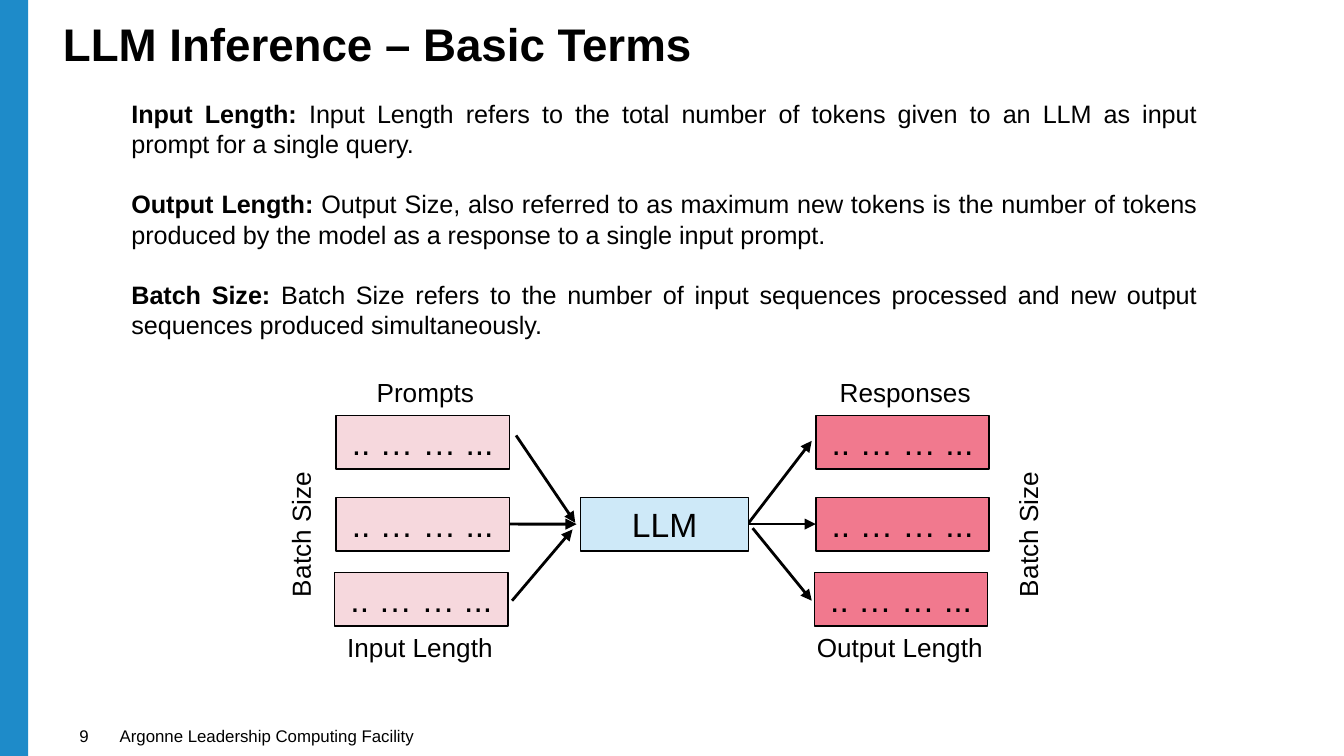
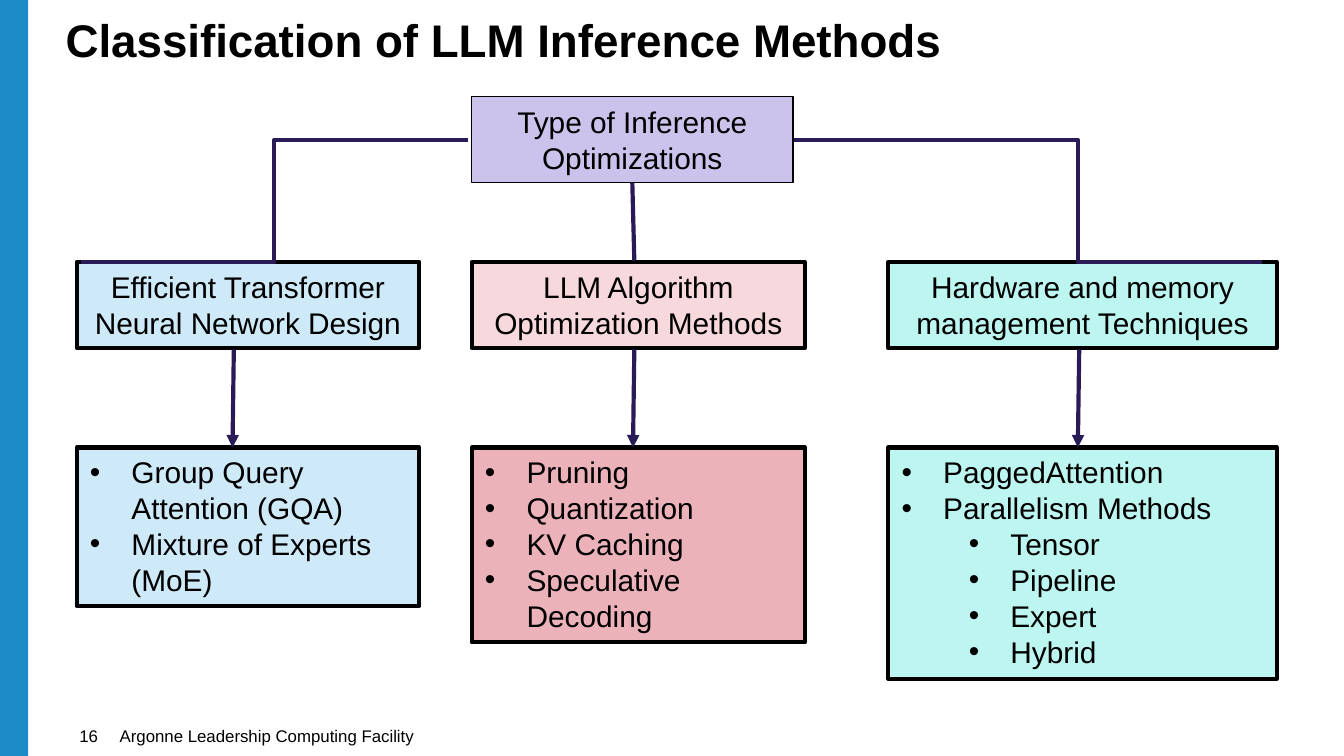
from dataclasses import dataclass

from lxml.etree import SubElement as Sub
from pptx import Presentation
from pptx.dml.color import RGBColor as Rgb
from pptx.enum.shapes import MSO_CONNECTOR as Conn, MSO_SHAPE as Shp
from pptx.enum.text import MSO_ANCHOR as Anchor, PP_ALIGN as Align
from pptx.oxml.ns import qn
from pptx.util import Inches, Pt


@dataclass(frozen=True)
class Theme:
    font: str = "Arial"
    ink: str = "000000"
    band: str = "1E8BC9"
    wire: str = "281B57"
    blue: str = "CEE9F8"
    pink: str = "F6D8DD"
    rose: str = "F1798E"
    blush: str = "ECB2BA"
    mint: str = "BDF6F1"
    lilac: str = "CCC3EC"
    title: float = 24.5
    body: float = 13.5
    label: float = 14
    node: float = 16
    token: float = 18
    foot: float = 9
    thin: float = 0.75
    arrow: float = 1.5
    thick: float = 2.25


T = Theme()
WIDE = 10
TALL = WIDE * 9 / 16
TOP, LEFT, BOTTOM, RIGHT = range(4)
FOOTER = "Argonne Leadership Computing Facility"
TERMS = [
    ("Input Length: ", "Input Length refers to the total number of tokens given "
     "to an LLM as input prompt for a single query."),
    ("Output Length: ", "Output Size, also referred to as maximum new tokens is "
     "the number of tokens produced by the model as a response to a single "
     "input prompt."),
    ("Batch Size: ", "Batch Size refers to the number of input sequences "
     "processed and new output sequences produced simultaneously."),
]


# Basic parts
def style(para, size, bold=False, align=None):
    para.alignment = align
    for run in para.runs:
        font = run.font
        font.name, font.size, font.bold = T.font, Pt(size), bold
        font.color.rgb = Rgb.from_string(T.ink)


def label(slide, box, text, size, bold=False, align=Align.LEFT,
          anchor=Anchor.TOP, pad=True):
    shape = slide.shapes.add_textbox(*map(Inches, box))
    frame = shape.text_frame
    frame.word_wrap = True
    frame.vertical_anchor = anchor
    if not pad:
        frame.margin_left = frame.margin_right = 0
        frame.margin_top = frame.margin_bottom = 0
    frame.text = text
    style(frame.paragraphs[0], size, bold, align)
    return shape


def block(slide, box, fill, width=None, text="", size=T.node,
          align=Align.CENTER):
    shape = slide.shapes.add_shape(Shp.RECTANGLE, *map(Inches, box))
    shape.shadow.inherit = False
    shape.fill.solid()
    shape.fill.fore_color.rgb = Rgb.from_string(fill)
    if width:
        shape.line.color.rgb = Rgb.from_string(T.ink)
        shape.line.width = Pt(width)
    else:
        shape.line.fill.background()
    frame = shape.text_frame
    frame.word_wrap = True
    frame.vertical_anchor = Anchor.TOP
    frame.text = text
    for para in frame.paragraphs:
        style(para, size, align=align)
    return shape


def link(slide, start, end, color, width, head=True, kind=Conn.STRAIGHT,
         bend=None):
    """Each end is a point (x, y) or a joint (shape, side)."""
    def spot(mark):
        return (0, 0) if hasattr(mark[0], "fill") else map(Inches, mark)

    line = slide.shapes.add_connector(kind, *spot(start), *spot(end))
    if hasattr(start[0], "fill"):
        line.begin_connect(*start)
    if hasattr(end[0], "fill"):
        line.end_connect(*end)
    line.line.color.rgb = Rgb.from_string(color)
    line.line.width = Pt(width)
    props = line._element.spPr
    if head:
        Sub(props.find(qn("a:ln")), qn("a:tailEnd"), type="triangle")
    Sub(props, qn("a:effectLst"))
    if bend:
        guides = props.find(qn("a:prstGeom")).get_or_add_avLst()
        Sub(guides, qn("a:gd"), name="adj1", fmla=f"val {round(bend * 100000)}")


def bullet(para, level):
    para.level = level
    props = para._p.get_or_add_pPr()
    props.set("marL", str(Inches(0.31 + 0.5 * level)))
    props.set("indent", str(-Inches(0.31)))
    Sub(props, qn("a:buFont"), typeface=T.font)
    Sub(props, qn("a:buChar"), char="•")


# Shared frame: side band, footer, page number, title
def base(deck, title, spot, page):
    slide = deck.slides.add_slide(deck.slide_layouts[6])
    for box, text in (((0.89, 5.4, 3.69, 0.15), FOOTER),
                      ((0.59, 5.4, 0.39, 0.15), page)):
        label(slide, box, text, T.foot, anchor=Anchor.BOTTOM, pad=False)
    block(slide, (0, 0, 0.21, TALL), T.band)
    head = label(slide, (*spot, 8.94, 0.48), title, T.title, True,
                 anchor=Anchor.MIDDLE)
    head.text_frame.paragraphs[0].line_spacing = 0.9
    return slide


# Definitions of terms
def terms(slide, box):
    frame = slide.shapes.add_textbox(*map(Inches, box)).text_frame
    frame.word_wrap = True
    for i, (lead, rest) in enumerate(TERMS):
        para = frame.add_paragraph() if i else frame.paragraphs[0]
        para.text = lead
        para.add_run().text = rest
        style(para, T.body, align=Align.JUSTIFY)
        para.runs[0].font.bold = True
        if i:
            para.space_before = Pt(16.2)


# A stack of three token boxes with its labels
def batch(slide, box, fill, top, foot, side):
    x, y, w, h = box
    label(slide, (x - 0.09, y - 0.34, 1.51, 0.34), top, T.label,
          align=Align.CENTER)
    label(slide, (x - 0.13, y + 1.56, 1.51, 0.34), foot, T.label,
          align=Align.CENTER)
    turned = label(slide, (x + side, y + 0.65, 1.26, 0.34), "Batch Size",
                   T.label)
    turned.rotation = 270
    return [block(slide, (x + dx, y + dy, w, h), fill, T.thin, ".. … … ...",
                  T.token)
            for dx, dy in ((0, 0), (0, 0.61), (-0.01, 1.17))]


# Prompts through the model to responses
def flow(slide, box):
    x, y, w, h = box
    size = (1.29, 0.4)
    asks = batch(slide, (x, y, *size), T.pink, "Prompts", "Input Length", -0.89)
    out = batch(slide, (x + w - size[0], y, *size), T.rose, "Responses",
                "Output Length", 0.95)

    def arrow(start, end):
        link(slide, start, end, T.ink, T.arrow)

    arrow((x + 1.34, y + 0.15), (x + 1.78, y + 0.8))
    arrow((x + 3.01, y + 0.88), (x + 3.54, y + 0.19))
    model = block(slide, (x + 1.82, y + 0.61, 1.25, 0.4), T.blue, T.thin,
                  "LLM", T.token)
    arrow((asks[1], RIGHT), (x + 1.79, y + 0.81))
    arrow((model, RIGHT), (out[1], LEFT))
    arrow((x + 1.31, y + 1.38), (x + 1.76, y + 0.85))
    arrow((x + 3.1, y + 0.84), (x + 3.54, y + 1.38))


# One method class: heading box over its list, with an arrow between
def branch(slide, box, name, fills, items, stem):
    x, y, w, h = box
    head = block(slide, (x, y, w, 0.64), fills[0], T.thick, name)
    body = block(slide, (x, y + 1.38, w, h - 1.38), fills[1], T.thick,
                 "\n".join(text for text, _ in items), align=Align.LEFT)
    for para, (_, level) in zip(body.text_frame.paragraphs, items):
        bullet(para, level)
    link(slide, (x + stem, y + 0.65), (x + stem - 0.01, y + 1.38), T.wire,
         T.thick)


# Tree of method classes
def tree(slide, box):
    x, y, w, h = box
    row = y + 1.23
    root = block(slide, (x + 2.94, y, 2.39, 0.64), T.lilac, T.thin,
                 "Type of Inference Optimizations")
    design = [("Group Query Attention (GQA)", 0), ("Mixture of Experts (MoE)", 0)]
    tuning = [(name, 0) for name in ("Pruning", "Quantization", "KV Caching",
                                     "Speculative Decoding")]
    memory = [("PaggedAttention", 0), ("Parallelism Methods", 0)]
    memory += [(name, 1) for name in ("Tensor", "Pipeline", "Expert", "Hybrid")]
    branch(slide, (x, row, 2.55, 2.56),
           "Efficient Transformer Neural Network Design",
           (T.blue, T.blue), design, 1.17)
    branch(slide, (x + 2.94, row, 2.48, 2.83),
           "LLM Algorithm Optimization Methods",
           (T.pink, T.blush), tuning, 1.21)
    branch(slide, (x + w - 2.89, row, 2.89, h - 1.23),
           "Hardware and memory management Techniques",
           (T.mint, T.mint), memory, 1.42)

    # Links from the root
    def wire(start, end, **look):
        link(slide, start, end, T.wire, T.thick, head=False, **look)

    wire((x + 5.34, y + 0.32), (x + 8.82, row), kind=Conn.ELBOW, bend=0.606)
    wire((x + 2.91, y + 0.32), (x + 0.03, row), kind=Conn.ELBOW)
    wire((root, BOTTOM), (x + 4.15, row - 0.01))


def main():
    deck = Presentation()
    deck.slide_width, deck.slide_height = Inches(WIDE), Inches(TALL)

    slide = base(deck, "LLM Inference – Basic Terms", (0.37, 0.11), "9")
    terms(slide, (0.88, 0.68, 8.13, 1.92))
    flow(slide, (2.5, 3.09, 4.86, 1.57))

    slide = base(deck, "Classification of LLM Inference Methods",
                 (0.39, 0.08), "16")
    tree(slide, (0.57, 0.72, 8.93, 4.33))

    deck.save("out.pptx")


if __name__ == "__main__":
    main()
